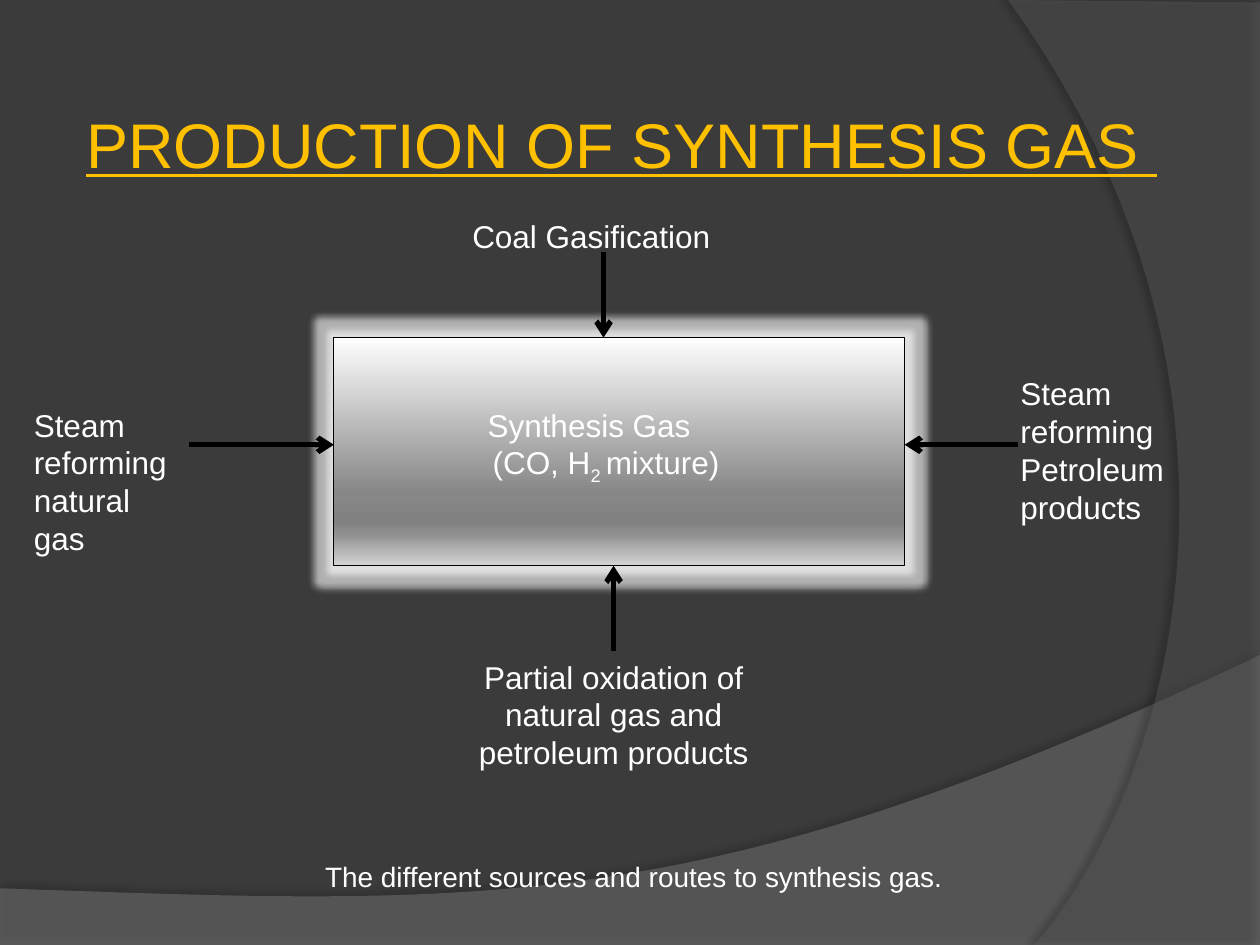
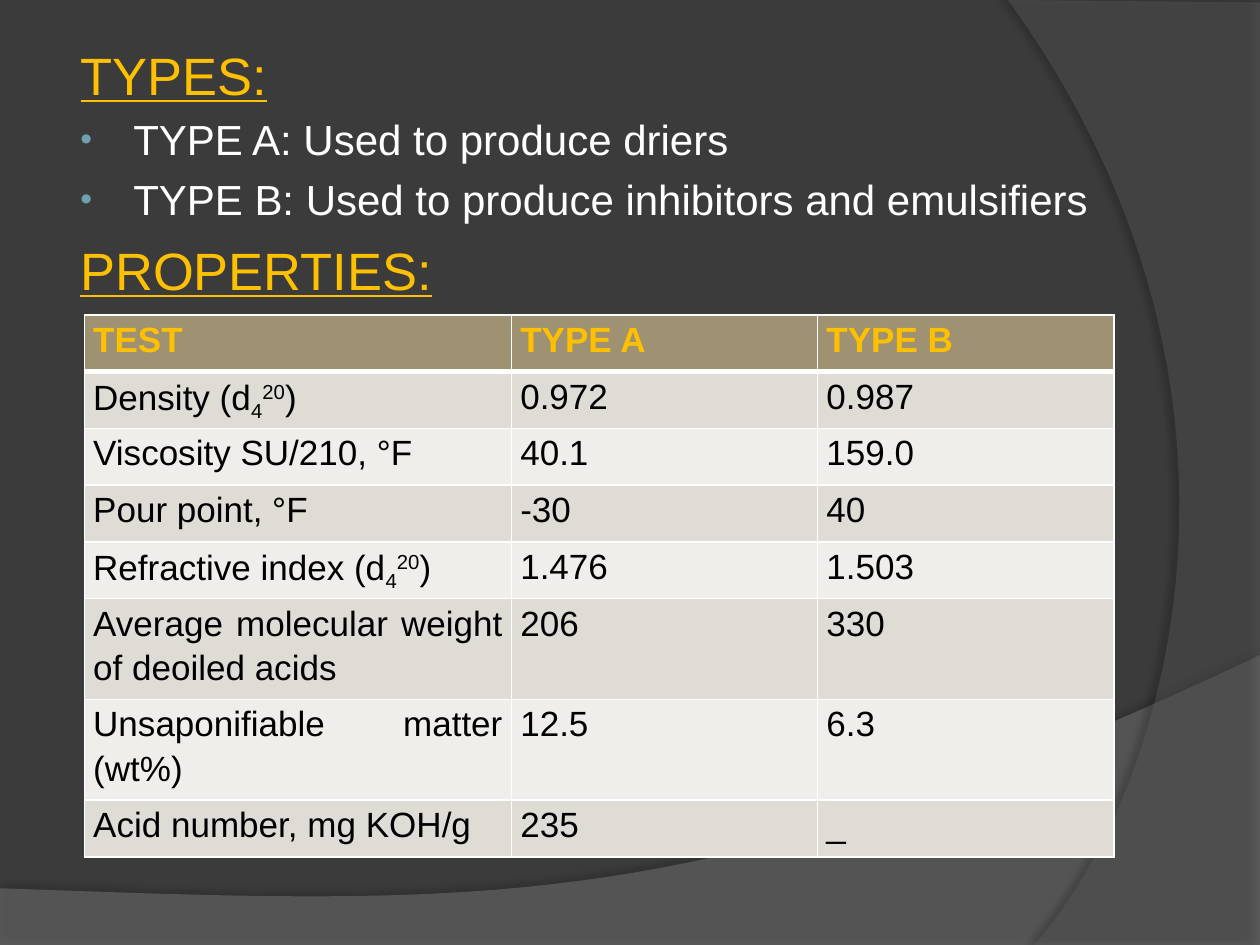
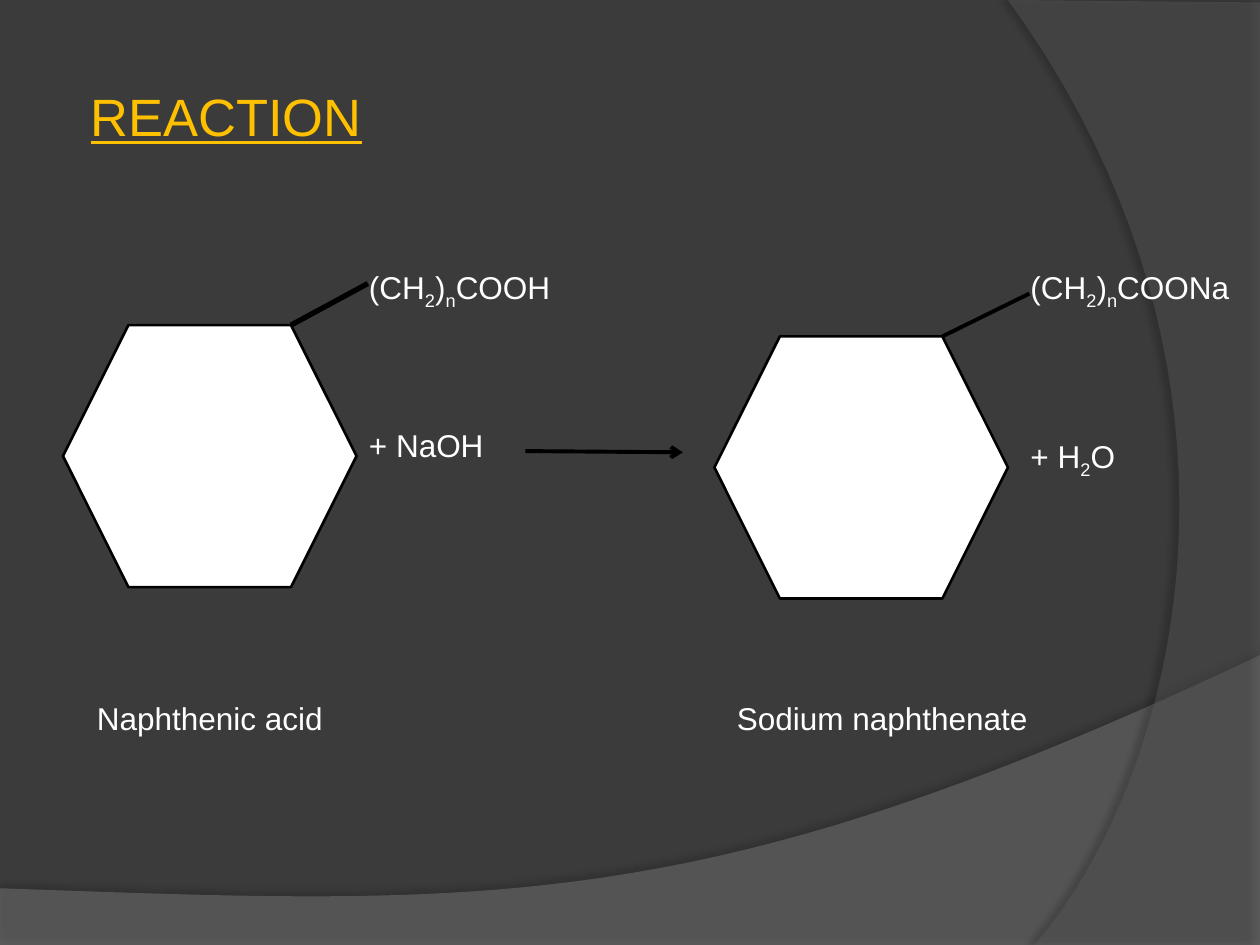
from lxml.etree import SubElement
from pptx import Presentation
from pptx.dml.color import RGBColor
from pptx.enum.shapes import MSO_CONNECTOR, MSO_SHAPE
from pptx.enum.text import MSO_ANCHOR, MSO_AUTO_SIZE, PP_ALIGN
from pptx.oxml.ns import qn
from pptx.util import Inches, Pt

HUES = {
    "back": "3B3B3B", "wave": "7F7F7F", "arc": "5E5E5E", "gold": "FFC000",
    "white": "FFFFFF", "black": "000000", "dot": "6EA0B0",
    "head": "9E9273", "dark": "DFDCD5", "light": "F0EEEB",
}
STEEL = [(0, "FEFEFE"), (68, "878787"), (81, "818181"), (86, "909090"), (100, "D3D3D3")]
SHIFTS = {"~": "-25000", "^": "30000"}


def rgb(name):
    return RGBColor.from_string(HUES[name])


def tint(node, hue, alpha=None):
    color = SubElement(node, qn("a:srgbClr"), val=hue)
    if alpha:
        SubElement(color, qn("a:alpha"), val=str(alpha * 1000))


def curve(start, one, two, end, steps=40):
    points = []
    for i in range(steps + 1):
        t = i / steps
        u = 1 - t
        points.append(tuple(
            u**3 * a + 3 * u * u * t * b + 3 * u * t * t * c + t**3 * d
            for a, b, c, d in zip(start, one, two, end)))
    return points


def dent(para, left, hang=0, dot=False):
    props = para._p.get_or_add_pPr()
    props.set("marL", str(Inches(left)))
    props.set("indent", str(Inches(hang)))
    if dot:
        tint(SubElement(props, qn("a:buClr")), HUES["dot"])
        SubElement(props, qn("a:buSzPct"), val="80000")
        SubElement(props, qn("a:buFont"), typeface="Arial")
        SubElement(props, qn("a:buChar"), char="•")


class Deck:
    font = "Arial"

    def __init__(self):
        self.prs = Presentation()
        self.prs.slide_width, self.prs.slide_height = Inches(10), Inches(7.5)
        self.master = self.prs.slide_master
        fill = self.master.background.fill
        fill.solid()
        fill.fore_color.rgb = rgb("back")

    def page(self):
        self.slide = self.prs.slides.add_slide(self.prs.slide_layouts[5])
        self.shapes = self.slide.shapes

    def band(self, order, points, hue, alpha, shade, dist, angle):
        spots = [(Inches(x), Inches(y)) for x, y in points]
        build = self.shapes.build_freeform(*spots[0], scale=1.0)
        build.add_line_segments(spots[1:], close=True)
        shape = build.convert_to_shape()
        shape.fill.solid()
        shape.fill.fore_color.rgb = rgb(hue)
        color = shape.element.spPr.find(".//" + qn("a:srgbClr"))
        SubElement(color, qn("a:alpha"), val=str(alpha * 1000))
        shape.line.fill.background()
        self.glow(shape, "outerShdw", "black", shade, blurRad=str(Pt(4)),
                  dist=str(Pt(dist)), dir=str(angle * 60000), rotWithShape="0")
        shape.element.nvSpPr.cNvPr.id = 20 + order
        self.master.shapes.element.insert(2 + order, shape.element)

    def glow(self, shape, kind, hue, alpha, **sizes):
        shape.shadow.inherit = False
        effects = shape.element.spPr.find(qn("a:effectLst"))
        tint(SubElement(effects, qn("a:" + kind), **sizes), HUES[hue], alpha)

    def style(self, para, size, hue, bold=False, line=False):
        for run in para.runs:
            font = run.font
            font.name, font.size, font.bold = self.font, Pt(size), bold
            font.underline = line
            font.color.rgb = rgb(hue)

    def label(self, para, text, size=18, hue="white", bold=False):
        if "|" in text:
            for part in text.split("|"):
                run = para.add_run()
                run.text = part.lstrip("~^")
                if part[0] in SHIFTS:
                    run._r.get_or_add_rPr().set("baseline", SHIFTS[part[0]])
        else:
            para.text = text
        self.style(para, size, hue, bold)

    def title(self, text, left, top, size=30, align=PP_ALIGN.LEFT):
        shape = self.shapes.title
        shape.left, shape.top = Inches(left), Inches(top)
        shape.width, shape.height = Inches(9.17), Inches(0.7)
        frame = shape.text_frame
        frame.text = text
        frame.vertical_anchor = MSO_ANCHOR.TOP
        frame.auto_size = MSO_AUTO_SIZE.NONE
        para = frame.paragraphs[0]
        para.alignment = align
        self.style(para, size, "gold", line=True)

    def text(self, lines, left, top, width, height=0.4, size=18, align=PP_ALIGN.LEFT):
        box = self.shapes.add_textbox(Inches(left), Inches(top), Inches(width), Inches(height))
        frame = box.text_frame
        frame.word_wrap = True
        for i, line in enumerate(lines):
            para = frame.add_paragraph() if i else frame.paragraphs[0]
            self.label(para, line, size)
            para.alignment = align
        return frame.paragraphs

    def shape(self, kind, left, top, width, height, weight):
        shape = self.shapes.add_shape(
            kind, Inches(left), Inches(top), Inches(width), Inches(height))
        shape.fill.solid()
        shape.fill.fore_color.rgb = rgb("white")
        shape.line.color.rgb = rgb("black")
        shape.line.width = Pt(weight)
        shape.shadow.inherit = False
        return shape

    def steel(self, shape):
        shape.fill.gradient()
        shape.fill.gradient_angle = 270
        stops = shape.element.spPr.find(".//" + qn("a:gsLst"))
        for stop in list(stops):
            stops.remove(stop)
        for place, hue in STEEL:
            tint(SubElement(stops, qn("a:gs"), pos=str(place * 1000)), hue)

    def line(self, x1, y1, x2, y2, weight=3, arrow=False):
        link = self.shapes.add_connector(
            MSO_CONNECTOR.STRAIGHT, Inches(x1), Inches(y1), Inches(x2), Inches(y2))
        link.line.color.rgb = rgb("black")
        link.line.width = Pt(weight)
        props = link.element.spPr
        if arrow:
            SubElement(props.find(qn("a:ln")), qn("a:tailEnd"), type="arrow")
        SubElement(props, qn("a:effectLst"))

    def table(self, rows, left, top, widths, heights):
        table = self.shapes.add_table(
            len(rows), len(widths), Inches(left), Inches(top),
            Inches(sum(widths)), Inches(sum(heights))).table
        table.horz_banding = False
        for column, width in zip(table.columns, widths):
            column.width = Inches(width)
        for r, (row, height) in enumerate(zip(rows, heights)):
            table.rows[r].height = Inches(height)
            for c, text in enumerate(row):
                self.cell(table.cell(r, c), text, r)

    def cell(self, cell, text, row):
        cell.margin_left = cell.margin_right = Inches(0.07)
        cell.margin_top = cell.margin_bottom = 0
        props = cell._tc.get_or_add_tcPr()
        for side in "LRTB":
            thick = (row, side) in ((0, "B"), (1, "T"))
            edge = SubElement(props, qn("a:ln" + side), w=str(Pt(3 if thick else 1)))
            tint(SubElement(edge, qn("a:solidFill")), HUES["white"])
        cell.fill.solid()
        cell.fill.fore_color.rgb = rgb("head" if row == 0 else "dark" if row % 2 else "light")
        para = cell.text_frame.paragraphs[0]
        self.label(para, text, 20, "black" if row else "gold", row == 0)
        para.alignment = PP_ALIGN.LEFT if "|" in text else PP_ALIGN.JUSTIFY
        para.line_spacing = 1.15


def bands(deck):
    wave = curve((10, 5.2), (5.59, 7.29), (3.91, 7.19), (0, 7.05))
    arc = curve((8.21, 7.5), (9.35, 6.19), (10.18, 3), (8, 0))
    deck.band(0, [(0, 7.5), (10, 7.5)] + wave, "wave", 45, 35, 3.5, 270)
    deck.band(1, [(10, 0.02), (10, 7.5)] + arc, "arc", 40, 45, 4, 180)


def routes(deck):
    deck.title("PRODUCTION OF SYNTHESIS GAS ", 0.35, 0.79, 36, PP_ALIGN.CENTER)
    gas = deck.shape(MSO_SHAPE.RECTANGLE, 2.65, 2.68, 4.53, 1.81, 0.75)
    deck.steel(gas)
    deck.glow(gas, "glow", "white", 60, rad=str(Pt(8)))
    for ends in ((1.5, 3.53, 2.65, 3.53), (4.79, 2, 4.79, 2.68),
                 (8.08, 3.53, 7.18, 3.53), (4.87, 5.17, 4.87, 4.49)):
        deck.line(*ends, arrow=True)
    mid = PP_ALIGN.CENTER
    deck.text(["Coal Gasification"], 3.65, 1.67, 2.2)
    paras = deck.text(["Synthesis Gas", "(CO, H|~2 |mixture)"], 3.05, 3.17, 3.25, 1.01, align=mid)
    dent(paras[1], 0.27)
    deck.text(["Steam reforming natural gas"], 0.17, 3.17, 1.4, 1.31)
    deck.text(["Steam reforming", "Petroleum products"], 8, 2.92, 1.42, 1.31)
    deck.text(["Partial oxidation of natural gas and petroleum products"],
              3.58, 5.17, 2.58, 1.01, align=mid)
    deck.text(["The different sources and routes to synthesis gas."],
              1.78, 6.77, 6.5, size=16, align=mid)


def types(deck):
    deck.title("TYPES:", 0.54, 0.29)
    paras = deck.text(["TYPE A: Used to produce driers",
                       "TYPE B: Used to produce inhibitors and emulsifiers",
                       "PROPERTIES:"], 0.5, 0.85, 9, 1.6, 24)
    for para in paras[:2]:
        dent(para, 0.46, -0.42, True)
    dent(paras[2], 0.46, -0.42)
    deck.style(paras[2], 30, "gold", line=True)
    paras[1].space_before, paras[2].space_before = Pt(5.5), Pt(8)
    rows = [
        ("TEST", "TYPE A", "TYPE B"),
        ("Density (d|~4|^20|)", "0.972", "0.987"),
        ("Viscosity SU/210, °F", "40.1", "159.0"),
        ("Pour point, °F", "-30", "40"),
        ("Refractive index (d|~4|^20|)", "1.476", "1.503"),
        ("Average molecular weight of deoiled acids", "206", "330"),
        ("Unsaponifiable matter (wt%)", "12.5", "6.3"),
        ("Acid number, mg KOH/g", "235", "_"),
    ]
    heights = [0.45] * 5 + [0.8] * 2 + [0.45]
    deck.table(rows, 0.67, 2.5, (3.39, 2.43, 2.35), heights)


def react(deck):
    deck.title("REACTION", 0.62, 0.62)
    for left, top in ((5.67, 2.67), (0.5, 2.58)):
        deck.shape(MSO_SHAPE.HEXAGON, left, top, 2.33, 2.08, 1.5)
    deck.line(4.17, 3.58, 5.42, 3.59, 2.25, True)
    deck.line(2.31, 2.58, 2.92, 2.25)
    deck.line(7.48, 2.67, 8.17, 2.33, 2.25)
    for label, left, top, width in (
            ("(CH|~2|)|~n|COOH", 2.83, 2.08, 2.25),
            ("+ NaOH", 2.83, 3.33, 1.33),
            ("(CH|~2|)|~n|COONa", 8.08, 2.08, 1.9),
            ("+ H|~2|O", 8.08, 3.42, 1.08),
            ("Naphthenic acid", 0.67, 5.5, 2.92),
            ("Sodium naphthenate", 5.75, 5.5, 3)):
        deck.text([label], left, top, width)


def main():
    deck = Deck()
    for i, draw in enumerate((routes, types, react)):
        deck.page()
        if i == 0:
            bands(deck)
        draw(deck)
    deck.prs.save("out.pptx")


if __name__ == "__main__":
    main()
